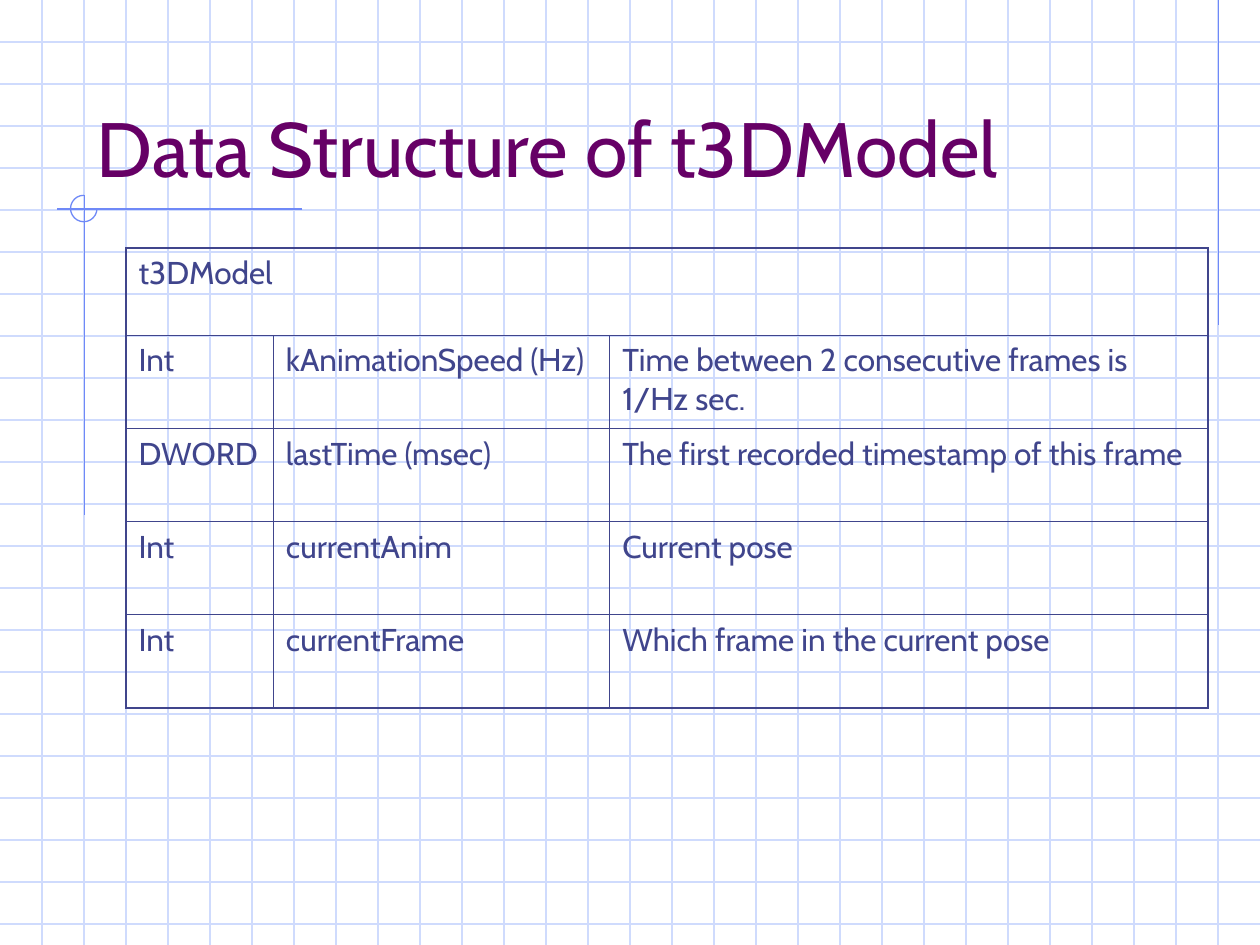
from typing import NamedTuple

import pptx
import pptx.dml.color
import pptx.enum.shapes
import pptx.enum.text
import pptx.oxml
import pptx.oxml.ns
import pptx.util
from pptx.util import Inches

COLORS = {"grid": "CFDBFD", "accent": "6F89F7", "title": "660066", "table": "40458C"}
FONT = "Cabin"
WIDTH, HEIGHT = 10, 7.5
GRID_PER_INCH = 3
OUTER_BORDER, INNER_BORDER = 1.08, 0.45
COLUMN_WIDTHS = (1.17, 2.67, 4.75)
ROW_HEIGHTS = (0.69,) + (0.74,) * 4


class Line(NamedTuple):
    x1: float
    y1: float
    x2: float
    y2: float
    color: str


class Field(NamedTuple):
    type_name: str
    name: str
    meaning: str


GRID_LINES = [
    Line(0, i / GRID_PER_INCH, WIDTH, i / GRID_PER_INCH, "grid")
    for i in range(1, int(HEIGHT * GRID_PER_INCH) + 1)
] + [
    Line(i / GRID_PER_INCH, 0, i / GRID_PER_INCH, HEIGHT, "grid")
    for i in range(1, WIDTH * GRID_PER_INCH)
]
ACCENT_LINES = [
    Line(9.67, 0, 9.67, 2.58, "accent"),
    Line(2.4, 1.66, 0.45, 1.66, "accent"),
    Line(0.67, 1.55, 0.67, 4.09, "accent"),
]
FIELDS = [
    Field("Int", "kAnimationSpeed (Hz)", "Time between 2 consecutive frames is 1/Hz sec."),
    Field("DWORD", "lastTime (msec)", "The first recorded timestamp of this frame"),
    Field("Int", "currentAnim", "Current pose"),
    Field("Int", "currentFrame", "Which frame in the current pose"),
]


def rgb(name: str) -> pptx.dml.color.RGBColor:
    return pptx.dml.color.RGBColor.from_string(COLORS[name])


def add_line(slide, line: Line) -> None:
    ends = [Inches(v) for v in line[:4]]
    cxn = slide.shapes.add_connector(pptx.enum.shapes.MSO_CONNECTOR.STRAIGHT, *ends)
    cxn.line.color.rgb = rgb(line.color)
    cxn.line.width = pptx.util.Pt(0.75)
    pptx.oxml.ns.qn("a:effectLst")
    cxn._element.spPr.append(
        pptx.oxml.parse_xml(f"<a:effectLst {pptx.oxml.ns.nsdecls('a')}/>")
    )


def add_arc(slide) -> None:
    """Draw three quarters of a circle, clockwise from the right to the top."""
    sp = slide.shapes.add_shape(
        pptx.enum.shapes.MSO_SHAPE.ARC, Inches(0.56), Inches(1.55), Inches(0.21), Inches(0.21)
    )
    sp.adjustments[0] = 0
    sp.adjustments[1] = 162  # 270 degrees
    sp.shadow.inherit = False
    sp.fill.background()
    sp.line.color.rgb = rgb("accent")
    sp.line.width = pptx.util.Pt(0.75)


def add_run(p, text: str, size: float, color: str) -> None:
    r = p.add_run()
    r.text = text
    r.font.name = FONT
    r.font.size = pptx.util.Pt(size)
    r.font.color.rgb = rgb(color)


def add_title(slide, text: str) -> None:
    box = slide.shapes.add_textbox(Inches(0.67), Inches(0.33), Inches(8.5), Inches(1.25))
    tf = box.text_frame
    tf.word_wrap = True
    tf.vertical_anchor = pptx.enum.text.MSO_ANCHOR.BOTTOM
    add_run(tf.paragraphs[0], text, 44, "title")


def set_borders(cell, outer: dict[str, bool]) -> None:
    """Draw the four sides of a cell, thicker where a side is on the table's edge."""
    tc_pr = cell._tc.get_or_add_tcPr()
    for side, is_outer in outer.items():
        width = pptx.util.Pt(OUTER_BORDER if is_outer else INNER_BORDER)
        tc_pr.append(pptx.oxml.parse_xml(
            f'<a:ln{side} {pptx.oxml.ns.nsdecls("a")} w="{int(width)}"><a:solidFill>'
            f'<a:srgbClr val="{COLORS["table"]}"/></a:solidFill></a:ln{side}>'
        ))


def add_field_table(slide, heading: str, fields: list[Field]) -> None:
    rows = [(heading, "", ""), *fields]
    last_row, last_col = len(rows) - 1, len(COLUMN_WIDTHS) - 1
    table = slide.shapes.add_table(
        len(rows), len(COLUMN_WIDTHS), Inches(1), Inches(1.97),
        Inches(sum(COLUMN_WIDTHS)), Inches(sum(ROW_HEIGHTS)),
    ).table
    table.first_row = table.horz_banding = False
    for column, width in zip(table.columns, COLUMN_WIDTHS):
        column.width = Inches(width)
    for row, height in zip(table.rows, ROW_HEIGHTS):
        row.height = Inches(height)
    table.cell(0, 0).merge(table.cell(0, last_col))
    for i, texts in enumerate(rows):
        for j, text in enumerate(texts):
            cell = table.cell(i, j)
            spans = cell.is_merge_origin
            set_borders(cell, {"L": j == 0, "R": j == last_col or spans,
                               "T": i == 0, "B": i == last_row})
            cell.fill.background()
            if text:
                p = cell.text_frame.paragraphs[0]
                p.space_before = pptx.util.Pt(4.5)
                add_run(p, text, 18, "table")


def main() -> None:
    prs = pptx.Presentation()
    prs.slide_width, prs.slide_height = Inches(WIDTH), Inches(HEIGHT)
    slide = prs.slides.add_slide(prs.slide_layouts[6])
    for line in GRID_LINES + ACCENT_LINES:
        add_line(slide, line)
    add_arc(slide)
    add_title(slide, "Data Structure of t3DModel")
    add_field_table(slide, "t3DModel", FIELDS)
    prs.save("out.pptx")


if __name__ == "__main__":
    main()
